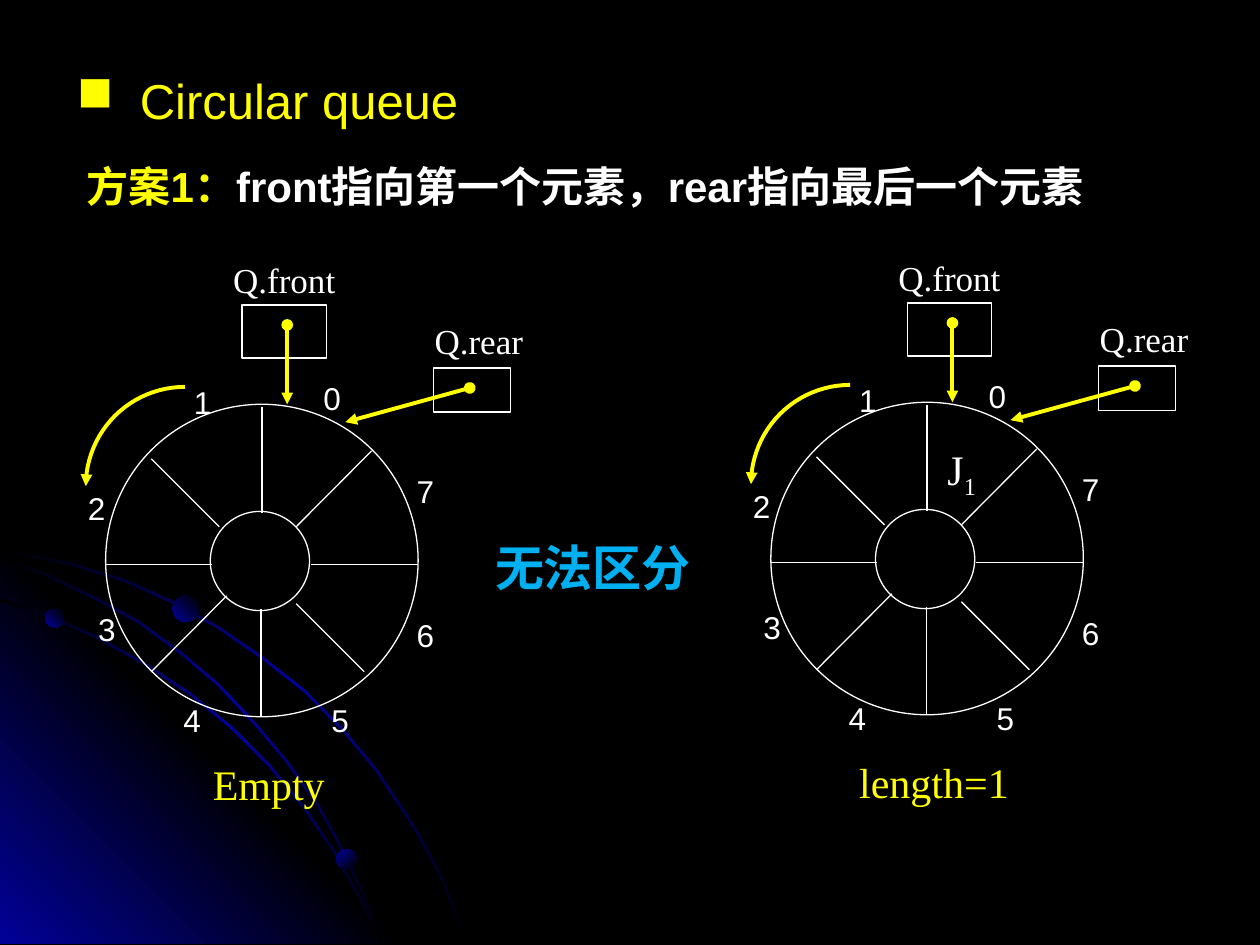
"""Build a slide comparing an empty circular queue with one of length 1."""
import copy
import math
from dataclasses import dataclass

from pptx import Presentation
from pptx import util as u
from pptx.dml.color import RGBColor
from pptx.enum import shapes, text
from pptx.oxml import parse_xml
from pptx.oxml.ns import nsdecls, qn

WHITE, YELLOW, CYAN, BLACK, BLUE = "FFFFFF", "FFFF00", "00B0F0", "000000", "010199"
SERIF, SANS = "Times New Roman", "Arial"
BAND_WIDTH = 0.06
RING_LEFT, RING_TOP, RING_SIZE = 2.13, 8.15, 6.3
SPOKES = [
    (5.28, 8.2, 5.28, 10.34), (5.26, 12.27, 5.26, 14.43),
    (2.13, 11.38, 4.27, 11.38), (6.27, 11.38, 8.43, 11.38),
    (7.49, 9.09, 5.97, 10.62), (4.57, 12.01, 3.05, 13.54),
    (3.05, 9.25, 4.42, 10.62), (5.97, 12.17, 7.34, 13.54),
]
SLOT_LABELS = [
    (6.27, 7.52), (3.66, 7.59), (1.52, 9.73), (1.73, 12.17),
    (3.45, 14), (6.43, 14), (8.15, 12.29), (8.15, 9.4),
]
BANDS = [
    [(0, 11.13), (0.71, 11.25), (1.42, 11.4), (2.46, 11.71), (3.43, 12.14),
     (4.39, 12.67), (5.28, 13.28), (6.12, 13.94), (6.88, 14.71), (7.57, 15.54),
     (8.2, 16.48), (8.56, 17.09), (8.89, 17.73), (9.14, 18.36), (9.4, 19.02)],
    [(0, 12.12), (0.99, 12.45), (1.96, 12.88), (2.92, 13.41), (3.81, 14),
     (4.65, 14.68), (5.41, 15.44), (6.1, 16.28), (6.73, 17.2), (7.24, 18.14),
     (7.47, 18.59), (7.65, 19.02)],
    [(0, 11.28), (0.91, 11.61), (1.88, 12.07), (2.77, 12.55), (3.61, 13.16),
     (4.39, 13.82), (5.13, 14.61), (5.77, 15.37), (6.4, 16.26), (6.78, 16.95),
     (7.11, 17.63), (7.42, 18.34), (7.65, 19.02)],
]


@dataclass
class Queue:
    caption: str
    caption_width: float
    left: float = 0
    top: float = 0


@dataclass
class Planet:
    left: float
    top: float
    size: float
    angle: int


QUEUES = [Queue("Empty", 2.77), Queue("length=1", 3.53, 13.41, -0.04)]
PLANETS = [Planet(0.91, 12.27, 0.38, 315), Planet(6.78, 17.12, 0.41, 45),
           Planet(3.48, 12.01, 0.53, 315)]


def color(value: str) -> RGBColor:
    return RGBColor.from_string(value)


def add_run(paragraph, content: str, *, size=18, font=SANS, fill=WHITE, bold=False):
    run = paragraph.add_run()
    run.text = content
    run.font.size, run.font.name, run.font.bold = u.Pt(size), font, bold
    run.font.color.rgb = color(fill)
    return run


def add_text(slide, content: str, left, top, width, height, *, wrap=True,
             align=text.PP_ALIGN.LEFT, **style):
    box = slide.shapes.add_textbox(*map(u.Cm, (left, top, width, height)))
    box.text_frame.word_wrap = wrap
    box.text_frame.auto_size = text.MSO_AUTO_SIZE.SHAPE_TO_FIT_TEXT
    paragraph = box.text_frame.paragraphs[0]
    paragraph.alignment = align
    add_run(paragraph, content, **style)
    return paragraph


def style_outline(shape, stroke: str, width: float, head="", tail="") -> None:
    shape.line.color.rgb = color(stroke)
    shape.line.width = u.Pt(width)
    outline = shape._element.spPr.find(qn("a:ln"))
    for tag, kind in (("headEnd", head), ("tailEnd", tail)):
        if kind:
            outline.append(parse_xml(f'<a:{tag} {nsdecls("a")} type="{kind}"/>'))


def add_line(slide, start_x, start_y, end_x, end_y, stroke=WHITE, width=0.75, **ends) -> None:
    line = slide.shapes.add_connector(
        shapes.MSO_CONNECTOR.STRAIGHT, *map(u.Cm, (start_x, start_y, end_x, end_y)))
    style_outline(line, stroke, width, **ends)
    line._element.spPr.append(parse_xml(f'<a:effectLst {nsdecls("a")}/>'))


def add_outline(slide, kind, left, top, width, height) -> None:
    shape = slide.shapes.add_shape(kind, *map(u.Cm, (left, top, width, height)))
    shape.shadow.inherit = False
    shape.fill.background()
    style_outline(shape, WHITE, 0.75)


def add_freeform(slide, points, close: bool):
    scaled = [(u.Cm(x), u.Cm(y)) for x, y in points]
    builder = slide.shapes.build_freeform(*scaled[0])
    builder.add_line_segments(scaled[1:], close=close)
    shape = builder.convert_to_shape()
    shape.shadow.inherit = False
    return shape


def paint_gradient(shape, colors: list[str], angle: int) -> None:
    shape.shadow.inherit = False
    shape.line.fill.background()
    shape.fill.gradient()
    shape.fill.gradient_angle = 360 - angle
    stops = shape._element.spPr.find(qn("a:gradFill")).find(qn("a:gsLst"))
    while len(stops) < len(colors):
        stops.append(copy.deepcopy(stops[0]))
    for index, (stop, value) in enumerate(zip(shape.fill.gradient_stops, colors)):
        stop.color.rgb = color(value)
        stop.position = index / (len(colors) - 1)


def add_band(slide, edge) -> None:
    last = len(edge) - 1
    far_edge = [(x + BAND_WIDTH * i / last, y - BAND_WIDTH * (1 - i / last))
                for i, (x, y) in enumerate(edge)]
    paint_gradient(add_freeform(slide, edge + far_edge[::-1], True), [BLACK, BLUE, BLACK], 45)


def draw_backdrop(slide) -> None:
    slide.background.fill.solid()
    slide.background.fill.fore_color.rgb = color(BLACK)
    corner = add_freeform(slide, [(0, 10.85), (8.18, 19.03), (0, 19.03)], True)
    paint_gradient(corner, [BLUE, BLACK, BLUE], 315)
    for edge in BANDS:
        add_band(slide, edge)
    for planet in PLANETS:
        shape = slide.shapes.add_shape(shapes.MSO_SHAPE.OVAL, *map(
            u.Cm, (planet.left, planet.top, planet.size, planet.size)))
        paint_gradient(shape, [BLUE, BLACK], planet.angle)


def draw_queue(slide, queue: Queue) -> None:
    x, y = queue.left, queue.top
    oval, box = shapes.MSO_SHAPE.OVAL, shapes.MSO_SHAPE.RECTANGLE
    add_outline(slide, oval, x + RING_LEFT, y + RING_TOP, RING_SIZE, RING_SIZE)
    add_outline(slide, oval, x + 4.24, y + 10.31, 2, 2)
    for start_x, start_y, end_x, end_y in SPOKES:
        add_line(slide, x + start_x, y + start_y, x + end_x, y + end_y)

    pointer = {"size": 20, "font": SERIF, "wrap": False}
    add_text(slide, "Q.front", x + 4.45, y + 5.08, 2.57, 1.09, **pointer)
    add_outline(slide, box, x + 4.88, y + 6.15, 1.7, 1.07)
    add_text(slide, "Q.rear", x + 8.51, y + 6.32, 2.29, 1.09, **pointer)
    add_outline(slide, box, x + 8.74, y + 7.42, 1.55, 0.89)
    arrow = {"stroke": YELLOW, "width": 2.25, "tail": "triangle"}
    add_line(slide, x + 5.79, y + 6.55, x + 5.79, y + 8.15, head="oval", **arrow)
    add_line(slide, x + 9.47, y + 7.82, x + 6.96, y + 8.51, head="oval", **arrow)

    angles = [math.pi / 2 * step / 24 for step in range(25)]
    turn = add_freeform(slide, [(x + 3.73 - 2 * math.sin(a), y + 9.8 - 2 * math.cos(a))
                                for a in angles], False)
    turn.fill.background()
    style_outline(turn, **arrow)
    for number, (left, top) in enumerate(SLOT_LABELS):
        add_text(slide, str(number), x + left, y + top, 0.58, 1.02)
    add_text(slide, queue.caption, x + 5.42 - queue.caption_width / 2, y + 15.16,
             queue.caption_width, 1.27, wrap=False, align=text.PP_ALIGN.CENTER,
             size=24, font=SERIF, fill=YELLOW)


def main() -> None:
    presentation = Presentation()
    presentation.slide_width, presentation.slide_height = u.Cm(25.4), u.Cm(19.05)
    slide = presentation.slides.add_slide(presentation.slide_layouts[6])
    draw_backdrop(slide)

    title = add_text(slide, "Circular queue", 1.3, 1.3, 8.61, 1.45, size=28, fill=YELLOW)
    properties = title._p.get_or_add_pPr()
    properties.set("marL", str(u.Cm(1.27)))
    properties.set("indent", str(-u.Cm(1.27)))
    properties.append(parse_xml(f'<a:buChar {nsdecls("a")} char="■"/>'))

    for queue in QUEUES:
        draw_queue(slide, queue)

    element = add_text(slide, "J", 18.85, 8.81, 1.12, 1.27, wrap=False, size=24, font=SERIF)
    subscript = add_run(element, "1", size=24, font=SERIF)
    subscript.font._element.set("baseline", "-25000")
    scheme = add_text(slide, "方案1：", 1.5, 3.12, 23.27, 1.27, size=24, fill=YELLOW, bold=True)
    add_run(scheme, "front指向第一个元素，rear指向最后一个元素", size=24, bold=True)
    add_text(slide, "无法区分", 9.73, 10.72, 5.79, 1.45, size=28, fill=CYAN, bold=True)
    presentation.save("out.pptx")


if __name__ == "__main__":
    main()
